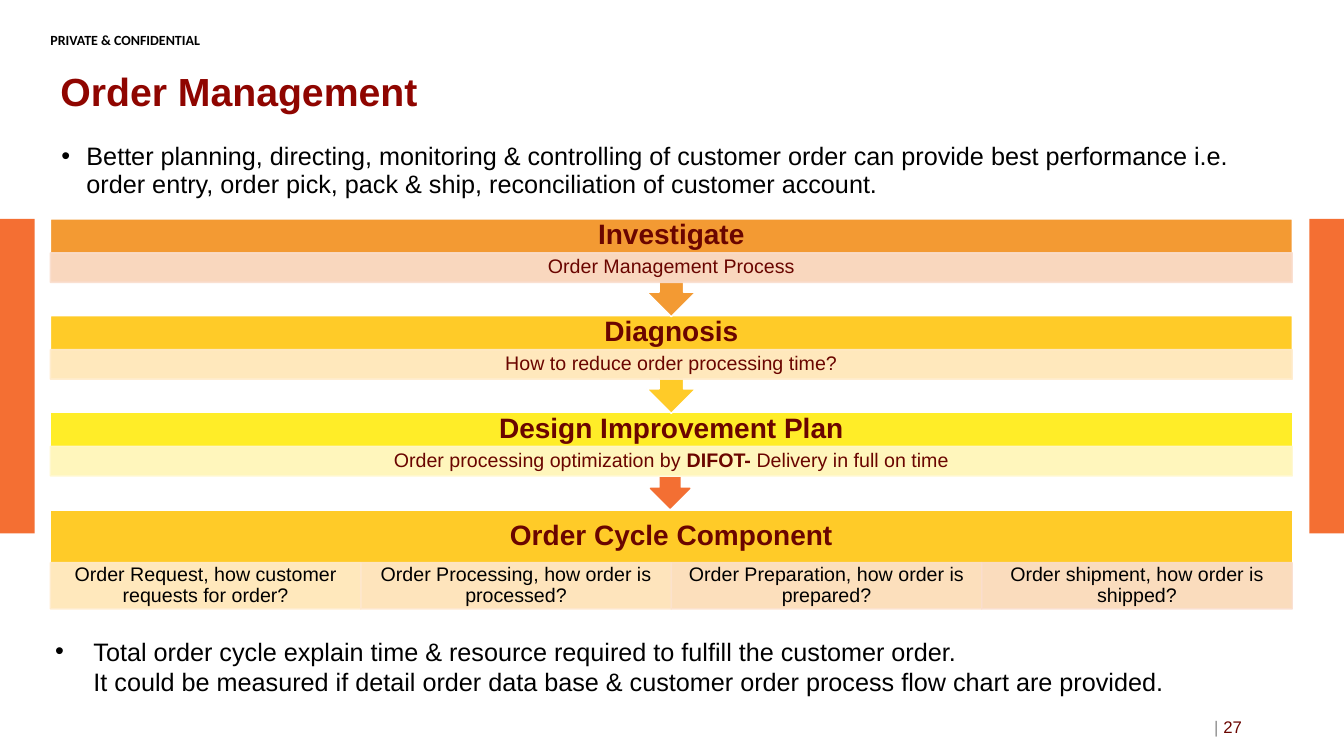
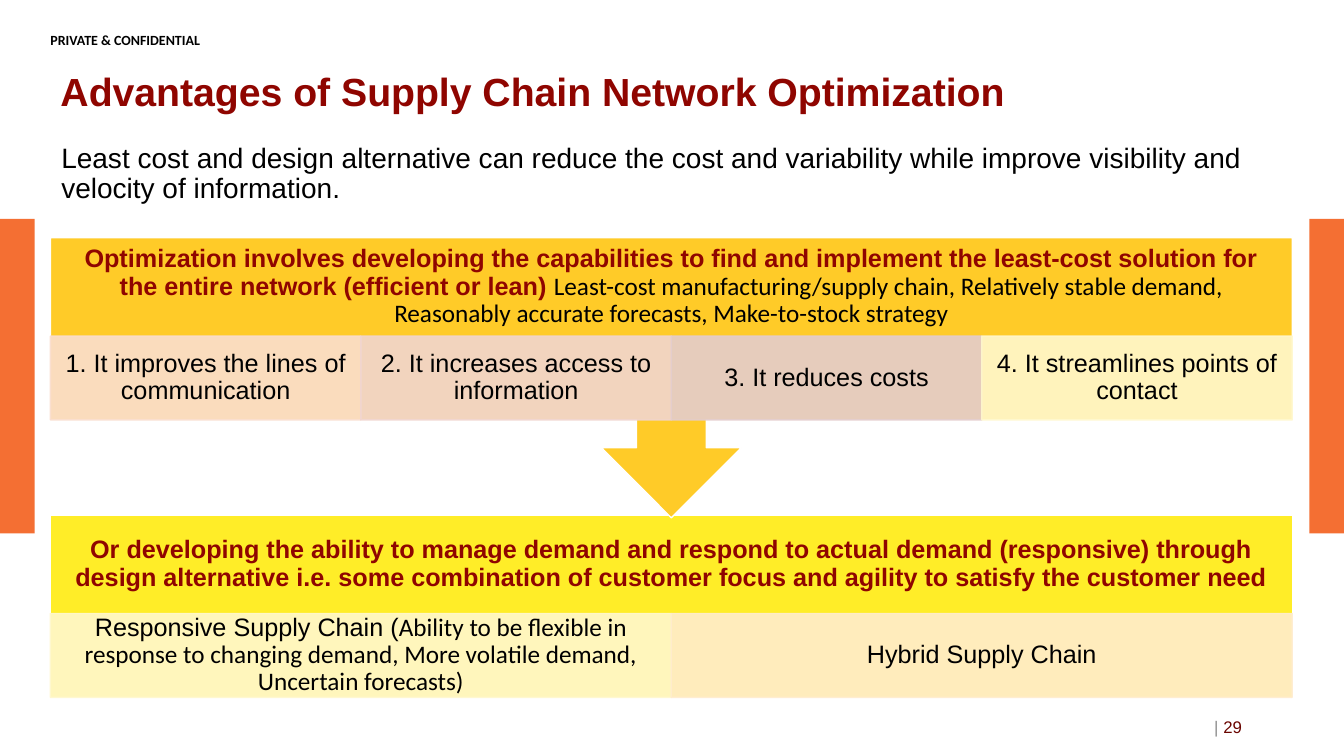
from dataclasses import dataclass, replace
from typing import Optional

from lxml.etree import SubElement
from pptx import Presentation
from pptx.dml.color import RGBColor
from pptx.enum.shapes import MSO_SHAPE
from pptx.enum.text import MSO_ANCHOR, MSO_AUTO_SIZE, PP_ALIGN
from pptx.oxml.ns import qn
from pptx.util import Inches, Pt

SLIDE_WIDTH, SLIDE_HEIGHT = 13.33, 7.5
COLUMN, ROW = SLIDE_WIDTH / 100, SLIDE_HEIGHT / 100


@dataclass(frozen=True)
class Style:
    size: float
    color: str
    bold: bool = False
    font: str = "Arial"


@dataclass(frozen=True)
class Theme:
    white: str = "FFFFFF"
    side_band: str = "F46F33"
    link_arrow: str = "F36F33"
    amber: str = "F39A33"
    gold: str = "FFCB28"
    yellow: str = "FFED28"
    pale_yellow: str = "FFF8CD"
    pale_gold: str = "FFECCD"
    pale_apricot: str = "FEE7CD"
    pale_peach: str = "FCE2CD"
    pale_orange: str = "FADECE"
    pale_rose: str = "F1D5CF"
    pale_brown: str = "E4CDCD"
    title: Style = Style(28, "8F0500", True)
    heading: Style = Style(20, "6A0500", True)
    statement: Style = Style(18, "8F0500", True)
    lead: Style = Style(20, "000000")
    body: Style = Style(18, "000000")
    body_alternate: Style = Style(18, "000000", font="Calibri")
    step: Style = Style(14, "6A0500")
    component: Style = Style(14, "000000")
    marking: Style = Style(10, "000000", True, "Calibri")
    page_number: Style = Style(12, "6A0500")
    page_divider: Style = Style(12, "8C8C8C")


THEME = Theme()


@dataclass(frozen=True)
class Box:
    """A place in hundredths of the slide's width and height."""
    left: float
    top: float
    width: float
    height: float

    def lengths(self) -> tuple:
        return (Inches(self.left * COLUMN), Inches(self.top * ROW),
                Inches(self.width * COLUMN), Inches(self.height * ROW))


@dataclass(frozen=True)
class Run:
    text: str
    style: Optional[Style] = None


@dataclass(frozen=True)
class Cell:
    fill: str
    runs: tuple


@dataclass(frozen=True)
class Block:
    """A heading above a row of equal cells; arrow_rows is the tail below."""
    top: float
    heading_rows: float
    cell_rows: float
    fill: str
    heading: tuple
    heading_style: Style
    cells: tuple
    cell_style: Style
    arrow_rows: float = 0


CONTENT_LEFT, CONTENT_WIDTH = 3.75, 92.4
BAND_WIDTH = 2.58
TITLE_BOX = Box(CONTENT_LEFT, 7.73, 81.53, 9.47)
LEAD_BOX = Box(3.82, 18.4, 92.33, 10.53)
CLOSING_BOX = Box(3.37, 83.47, 90, 9.47)
PAGE_BOX = Box(70.65, 93.47, 22.5, 5.33)
MARKING_BOX = Box(CONTENT_LEFT, 4.53, 19, 1.6)
LINK_ARROW_BOX = Box(48.4, 61.2, 2.93, 6)


def apply_style(font, style: Style) -> None:
    font.name, font.size, font.bold = style.font, Pt(style.size), style.bold
    font.color.rgb = RGBColor.from_string(style.color)


def write(frame, runs: tuple, style: Style, align=PP_ALIGN.LEFT,
          anchor=MSO_ANCHOR.MIDDLE, inset: tuple = (0.1, 0.05),
          spacing: float = 0.9, bullet_indent: float = 0) -> None:
    """Fill a frame with one paragraph; a run's own style beats the common one."""
    frame.word_wrap = True
    frame.auto_size = MSO_AUTO_SIZE.NONE
    frame.vertical_anchor = anchor
    frame.margin_left = frame.margin_right = Inches(inset[0])
    frame.margin_top = frame.margin_bottom = Inches(inset[1])
    paragraph = frame.paragraphs[0]
    paragraph.alignment = align
    paragraph.line_spacing = spacing
    if bullet_indent:
        properties = paragraph._p.get_or_add_pPr()
        properties.set("marL", str(Inches(bullet_indent)))
        properties.set("indent", str(-Inches(bullet_indent)))
        SubElement(properties, qn("a:buFont")).set("typeface", "Arial")
        SubElement(properties, qn("a:buChar")).set("char", "•")
    apply_style(paragraph.font, style)
    for part in runs:
        for number, line in enumerate(part.text.split("\n")):
            if number:
                paragraph.add_line_break()
            run = paragraph.add_run()
            run.text = line
            if part.style:
                apply_style(run.font, part.style)


def add_text(slide, box: Box, runs: tuple, style: Style, **layout):
    label = slide.shapes.add_textbox(*box.lengths())
    write(label.text_frame, runs, style, **layout)
    return label


def add_filled(slide, kind, box: Box, fill: str, line: Optional[str] = None):
    shape = slide.shapes.add_shape(kind, *box.lengths())
    shape.shadow.inherit = False
    shape.fill.solid()
    shape.fill.fore_color.rgb = RGBColor.from_string(fill)
    if line:
        shape.line.color.rgb = RGBColor.from_string(line)
        shape.line.width = Pt(1)
    else:
        shape.line.fill.background()
    return shape


def make_translucent(shape, percent: int) -> None:
    for color in list(shape.element.iter(qn("a:srgbClr"))):
        SubElement(color, qn("a:alpha")).set("val", str(percent * 1000))


def add_block(slide, block: Block) -> None:
    body_rows = block.heading_rows + block.cell_rows
    kind = MSO_SHAPE.DOWN_ARROW_CALLOUT if block.arrow_rows else MSO_SHAPE.RECTANGLE
    outline = Box(CONTENT_LEFT, block.top, CONTENT_WIDTH, body_rows + block.arrow_rows)
    add_filled(slide, kind, outline, block.fill, THEME.white)
    add_text(slide, replace(outline, height=block.heading_rows), block.heading,
             block.heading_style, align=PP_ALIGN.CENTER, inset=(0.14, 0))
    cell_width = CONTENT_WIDTH / len(block.cells)
    for number, cell in enumerate(block.cells):
        place = Box(CONTENT_LEFT + number * cell_width,
                    block.top + block.heading_rows, cell_width, block.cell_rows)
        strip = add_filled(slide, MSO_SHAPE.RECTANGLE, place, cell.fill, cell.fill)
        make_translucent(strip, 90)
        write(strip.text_frame, cell.runs, block.cell_style,
              align=PP_ALIGN.CENTER, inset=(0.14, 0.02))


def furnish_layout(layout, slide) -> None:
    """Draw the side bands and the marking, then move them to the layout."""
    shared = [add_filled(slide, MSO_SHAPE.RECTANGLE,
                         Box(left, 28.95, BAND_WIDTH, 41.6), THEME.side_band)
              for left in (0, 100 - BAND_WIDTH)]
    shared.append(add_text(slide, MARKING_BOX, (Run("PRIVATE & CONFIDENTIAL"),),
                           THEME.marking, inset=(0, 0), spacing=1.0))
    for identity, shape in enumerate(shared, start=101):
        shape.element.nvSpPr.cNvPr.set("id", str(identity))
        layout.shapes.element.append(shape.element)


def add_title_and_page(slide, title: str, page: int) -> None:
    heading = slide.shapes.title
    heading.left, heading.top, heading.width, heading.height = TITLE_BOX.lengths()
    write(heading.text_frame, (Run(title),), THEME.title)
    add_text(slide, PAGE_BOX, (Run("| ", THEME.page_divider), Run(str(page))),
             THEME.page_number, align=PP_ALIGN.RIGHT, spacing=1.0)


def build_order_management(slide) -> None:
    add_title_and_page(slide, "Order Management", 27)
    add_text(slide, LEAD_BOX, (Run(
        "Better planning, directing, monitoring & controlling of customer order can "
        "provide best performance i.e. order entry, order pick, pack & ship, "
        "reconciliation of customer account."),),
        THEME.body, anchor=MSO_ANCHOR.TOP, bullet_indent=0.25)
    add_filled(slide, MSO_SHAPE.DOWN_ARROW, LINK_ARROW_BOX,
               THEME.link_arrow, THEME.link_arrow)
    stages = (
        ("Investigate", THEME.amber, THEME.pale_orange,
         (Run("Order Management Process"),)),
        ("Diagnosis", THEME.gold, THEME.pale_gold,
         (Run("How to reduce order processing time?"),)),
        ("Design Improvement Plan", THEME.yellow, THEME.pale_yellow,
         (Run("Order processing optimization by "),
          Run("DIFOT- ", replace(THEME.step, bold=True)),
          Run("Delivery in full on time"))),
    )
    last = len(stages) - 1
    for number, (name, fill, pale, step) in reversed(list(enumerate(stages))):
        add_block(slide, Block(
            28.95 + 12.8 * number, 4.5, 3.9, fill, (Run(name),), THEME.heading,
            (Cell(pale, step),), THEME.step, 4.53 if number < last else 0))
    add_block(slide, Block(
        67.5, 6.93, 6.13, THEME.gold, (Run("Order Cycle Component"),), THEME.heading,
        (Cell(THEME.pale_gold,
              (Run("Order Request, how customer requests for order?"),)),
         Cell(THEME.pale_apricot, (Run("Order Processing, how order is processed?"),)),
         Cell(THEME.pale_peach, (Run("Order Preparation, how order is prepared?"),)),
         Cell(THEME.pale_orange, (Run("Order shipment, how order is shipped?"),))),
        THEME.component))
    add_text(slide, CLOSING_BOX, (Run(
        "Total order cycle explain time & resource required to fulfill the customer "
        "order.\nIt could be measured if detail order data base & customer order "
        "process flow chart are provided."),),
        THEME.body, anchor=MSO_ANCHOR.TOP, spacing=1.0, bullet_indent=0.38)


def build_network_advantages(slide) -> None:
    add_title_and_page(slide, "Advantages of Supply Chain Network Optimization", 29)
    add_text(slide, LEAD_BOX, (Run(
        "Least cost and design alternative can reduce the cost and variability while "
        "improve visibility and velocity of information."),),
        THEME.lead, anchor=MSO_ANCHOR.TOP)
    add_block(slide, Block(
        68.15, 13, 11.1, THEME.yellow, (Run(
            "Or developing the ability to manage demand and respond to actual demand "
            "(responsive) through design alternative i.e. some combination of customer "
            "focus and agility to satisfy the customer need"),), THEME.statement,
        (Cell(THEME.pale_yellow, (
            Run("Responsive Supply Chain ("),
            Run("Ability to be flexible in response to changing demand, More volatile "
                "demand, Uncertain forecasts)", THEME.body_alternate))),
         Cell(THEME.pale_gold, (Run("Hybrid Supply Chain"),))),
        THEME.body))
    add_block(slide, Block(
        31.45, 13, 11.1, THEME.gold, (
            Run("Optimization involves developing the capabilities to find and "
                "implement the least-cost solution for the entire network (efficient "
                "or lean) "),
            Run("Least-cost manufacturing/supply chain, Relatively stable demand, "
                "Reasonably accurate forecasts, Make-to-stock strategy",
                THEME.body_alternate)), THEME.statement,
        (Cell(THEME.pale_orange, (Run("1. It improves the lines of communication"),)),
         Cell(THEME.pale_rose, (Run("2. It increases access to information"),)),
         Cell(THEME.pale_brown, (Run("3. It reduces costs"),)),
         Cell(THEME.pale_yellow, (Run("4. It streamlines points of contact"),))),
        THEME.body, 12.95))


def main() -> None:
    deck = Presentation()
    deck.slide_width, deck.slide_height = Inches(SLIDE_WIDTH), Inches(SLIDE_HEIGHT)
    title_only = deck.slide_layouts[5]
    order_slide, network_slide = (deck.slides.add_slide(title_only) for _ in range(2))
    furnish_layout(title_only, order_slide)
    build_order_management(order_slide)
    build_network_advantages(network_slide)
    deck.save("out.pptx")


if __name__ == "__main__":
    main()
